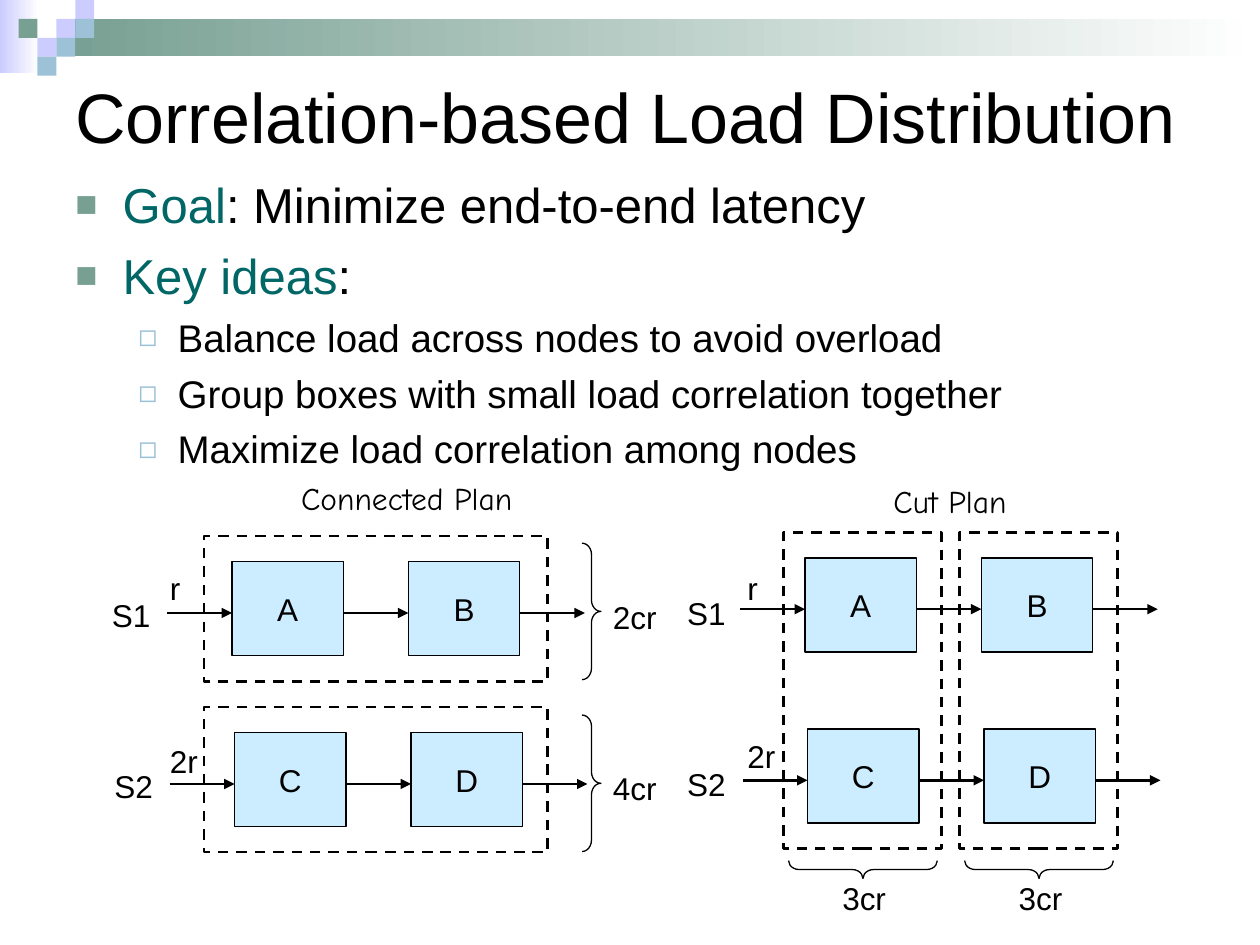
from dataclasses import dataclass

from lxml.etree import SubElement
from pptx import Presentation
from pptx.dml.color import RGBColor as RGB
from pptx.enum.dml import MSO_LINE_DASH_STYLE as Dash
from pptx.enum.shapes import MSO_AUTO_SHAPE_TYPE as Shape, MSO_CONNECTOR_TYPE as Conn
from pptx.enum.text import MSO_ANCHOR as Anchor, MSO_AUTO_SIZE as Auto, PP_ALIGN as Align
from pptx.oxml.ns import qn
from pptx.util import Pt

COLORS = {
    "black": "000000", "white": "FFFFFF", "teal": "006666", "green": "779F92",
    "lilac": "CCCCFF", "sky": "9DC2D7", "box": "CCECFF",
}
BOX_W, BOX_H, PITCH = 63.6, 53.8, 100.8
ARROW_LEN, ARROW_DY = 37.2, 29.3


@dataclass
class Rect:
    x: float
    y: float
    w: float
    h: float


@dataclass
class Label:
    text: str
    x: float
    y: float
    w: float
    font: str = "Arial"


@dataclass
class Chain:
    names: str
    x: float
    y: float


@dataclass
class Brace:
    at: Rect
    rotation: int = 0


@dataclass
class Bullet:
    lead: str
    rest: str
    level: int = 0


@dataclass
class BulletStyle:
    char: str
    color: str
    percent: int
    margin: float
    indent: float
    size: float
    before: float


def rgb(name: str) -> RGB:
    return RGB.from_string(COLORS[name])


def set_all(obj, values: dict) -> None:
    for name, value in values.items():
        setattr(obj, name, value)


def add_run(p, text: str, size: float, color: str = "black", font: str = "Arial") -> None:
    r = p.add_run()
    r.text = text
    set_all(r.font, {"size": Pt(size), "name": font})
    r.font.color.rgb = rgb(color)


def add_shape(kind, at: Rect, fill: str = "", line: float = 0, dashed: bool = False):
    sp = s.shapes.add_shape(kind, Pt(at.x), Pt(at.y), Pt(at.w), Pt(at.h))
    sp.shadow.inherit = False
    if fill:
        sp.fill.solid()
        sp.fill.fore_color.rgb = rgb(fill)
    else:
        sp.fill.background()
    if line:
        sp.line.width = Pt(line)
        sp.line.color.rgb = rgb("black")
    else:
        sp.line.fill.background()
    if dashed:
        sp.line.dash_style = Dash.DASH
    return sp


def add_fade(at: Rect, color: str) -> None:
    sp = add_shape(Shape.RECTANGLE, at, color)
    sp.fill.gradient()
    sp.fill.gradient_angle = 0
    for stop, name, pos in zip(sp.fill.gradient_stops, (color, "white"), (0, 1)):
        stop.color.rgb = rgb(name)
        stop.position = pos


def add_text(at: Rect, **frame):
    tf = s.shapes.add_textbox(Pt(at.x), Pt(at.y), Pt(at.w), Pt(at.h)).text_frame
    set_all(tf, {"word_wrap": True, **frame})
    return tf


def add_label(label: Label) -> None:
    tf = add_text(Rect(label.x, label.y, label.w, 29),
                  word_wrap=False, auto_size=Auto.SHAPE_TO_FIT_TEXT)
    add_run(tf.paragraphs[0], label.text, 18, font=label.font)


def add_arrow(x: float, y: float) -> None:
    line = s.shapes.add_connector(Conn.STRAIGHT, Pt(x), Pt(y), Pt(x + ARROW_LEN), Pt(y))
    line.line.width = Pt(1.5)
    line.line.color.rgb = rgb("black")
    SubElement(line.line._get_or_add_ln(), qn("a:tailEnd"), type="triangle")
    SubElement(line._element.spPr, qn("a:effectLst"))


def add_chain(chain: Chain) -> None:
    for i, name in enumerate(chain.names):
        sp = add_shape(Shape.RECTANGLE, Rect(chain.x + i * PITCH, chain.y, BOX_W, BOX_H),
                       "box", 0.75)
        set_all(sp.text_frame, {"vertical_anchor": Anchor.MIDDLE, "word_wrap": False})
        p = sp.text_frame.paragraphs[0]
        p.alignment = Align.CENTER
        add_run(p, name, 18)
    for i in range(len(chain.names) + 1):
        add_arrow(chain.x - ARROW_LEN + i * PITCH, chain.y + ARROW_DY)


def add_brace(brace: Brace) -> None:
    sp = add_shape(Shape.RIGHT_BRACE, brace.at, line=0.75)
    sp.adjustments[0] = 0.6
    sp.rotation = brace.rotation


def add_bullet(p, item: Bullet, style: BulletStyle) -> None:
    p.level = item.level
    pPr = p._p.get_or_add_pPr()
    pPr.set("marL", str(Pt(style.margin)))
    pPr.set("indent", str(Pt(style.indent)))
    color = SubElement(pPr, qn("a:buClr"))
    SubElement(color, qn("a:srgbClr"), val=COLORS[style.color])
    SubElement(pPr, qn("a:buSzPct"), val=str(style.percent * 1000))
    SubElement(pPr, qn("a:buFont"), typeface="Arial")
    SubElement(pPr, qn("a:buChar"), char=style.char)
    if item.lead:
        add_run(p, item.lead, style.size, "teal")
    add_run(p, item.rest, style.size)


prs = Presentation()
set_all(prs, {"slide_width": Pt(720), "slide_height": Pt(540)})
s = prs.slides.add_slide(prs.slide_layouts[6])

# Header band and mosaic
add_fade(Rect(0, 0, 22.3, 41.8), "lilac")
add_fade(Rect(32.4, 10.8, 687.6, 21.4), "green")
for col, row, color in [(3, 1, "lilac"), (4, 0, "lilac"), (4, 1, "sky"), (2, 2, "lilac"),
                        (1, 1, "green"), (3, 2, "sky"), (2, 3, "sky")]:
    add_shape(Shape.RECTANGLE, Rect(10.8 * col - 0.2, 10.8 * row, 10.8, 10.8), color)

# Title and bullets
title = add_text(Rect(36, 12.2, 648, 108), vertical_anchor=Anchor.MIDDLE)
add_run(title.paragraphs[0], "Correlation-based Load Distribution", 40)

STYLES = [BulletStyle("■", "green", 75, 27, -27, 28, 7),
          BulletStyle("◻", "sky", 80, 58.5, -22.5, 22, 5.5)]
BULLETS = [
    Bullet("Goal", ": Minimize end-to-end latency"),
    Bullet("Key ideas", ":"),
    Bullet("", "Balance load across nodes to avoid overload", 1),
    Bullet("", "Group boxes with small load correlation together", 1),
    Bullet("", "Maximize load correlation among nodes", 1),
]
body = add_text(Rect(36, 96, 648, 306))
for i, item in enumerate(BULLETS):
    p = body.add_paragraph() if i else body.paragraphs[0]
    add_bullet(p, item, STYLES[item.level])
    if i:
        p.space_before = Pt(STYLES[item.level].before)

# Node outlines: one per stream on the left, one per stage on the right
for at in [Rect(116.6, 306.3, 196.2, 83), Rect(116.6, 404, 196.2, 83),
           Rect(447.6, 304.2, 90.3, 180.7), Rect(447.6 + PITCH, 304.2, 90.3, 180.7)]:
    add_shape(Shape.RECTANGLE, at, line=1.5, dashed=True)

# Operator chains
for chain in [Chain("AB", 132.6, 321), Chain("CD", 134.1, 418.7),
              Chain("AB", 460, 318.8), Chain("CD", 461.5, 416.6)]:
    add_chain(chain)

# Load braces
for brace in [Brace(Rect(332.6, 310.4, 10.8, 78)), Brace(Rect(332.6, 408.6, 10.8, 78)),
              Brace(Rect(488, 454.4, 10.2, 85), 90),
              Brace(Rect(487.8 + PITCH, 454.4, 10.2, 85), 90)]:
    add_brace(brace)

# Plan names, streams, rates and loads
for label in [
    Label("Connected Plan", 165, 270, 135.4, "Comic Neue"),
    Label("Cut Plan", 503.5, 271.7, 79.2, "Comic Neue"),
    Label("S1", 56.9, 337, 37), Label("S2", 58.3, 434.9, 37),
    Label("S1", 385.6, 335.8, 37), Label("S2", 385.6, 433.6, 37),
    Label("r", 90, 321.8, 21), Label("2r", 90, 420.5, 31),
    Label("r", 420, 321.8, 21), Label("2r", 420, 417.6, 31),
    Label("2cr", 343.2, 338, 40), Label("4cr", 343.2, 435.8, 40),
    Label("3cr", 474.2, 498.5, 40), Label("3cr", 474.2 + PITCH, 498.5, 40),
]:
    add_label(label)

prs.save("out.pptx")
